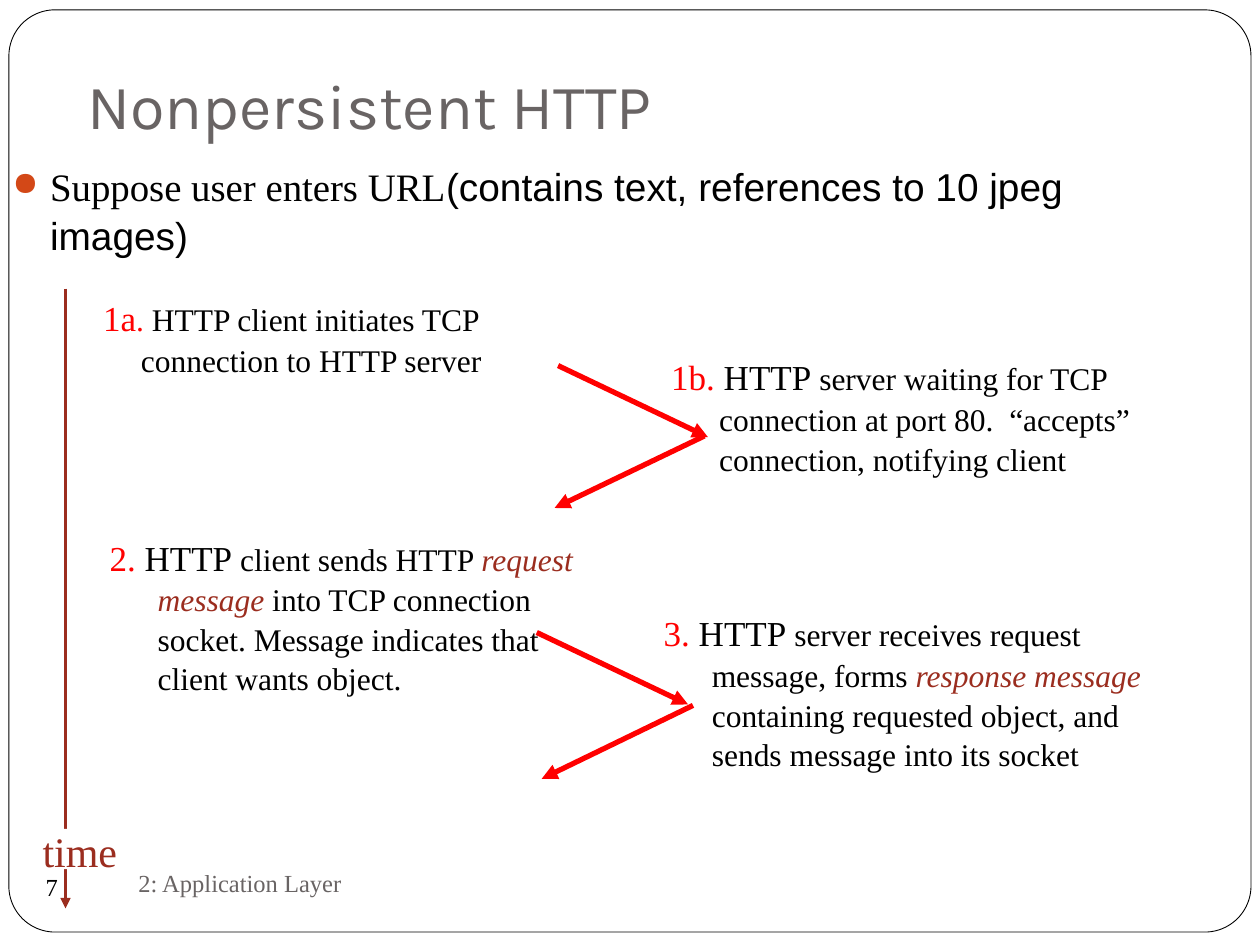
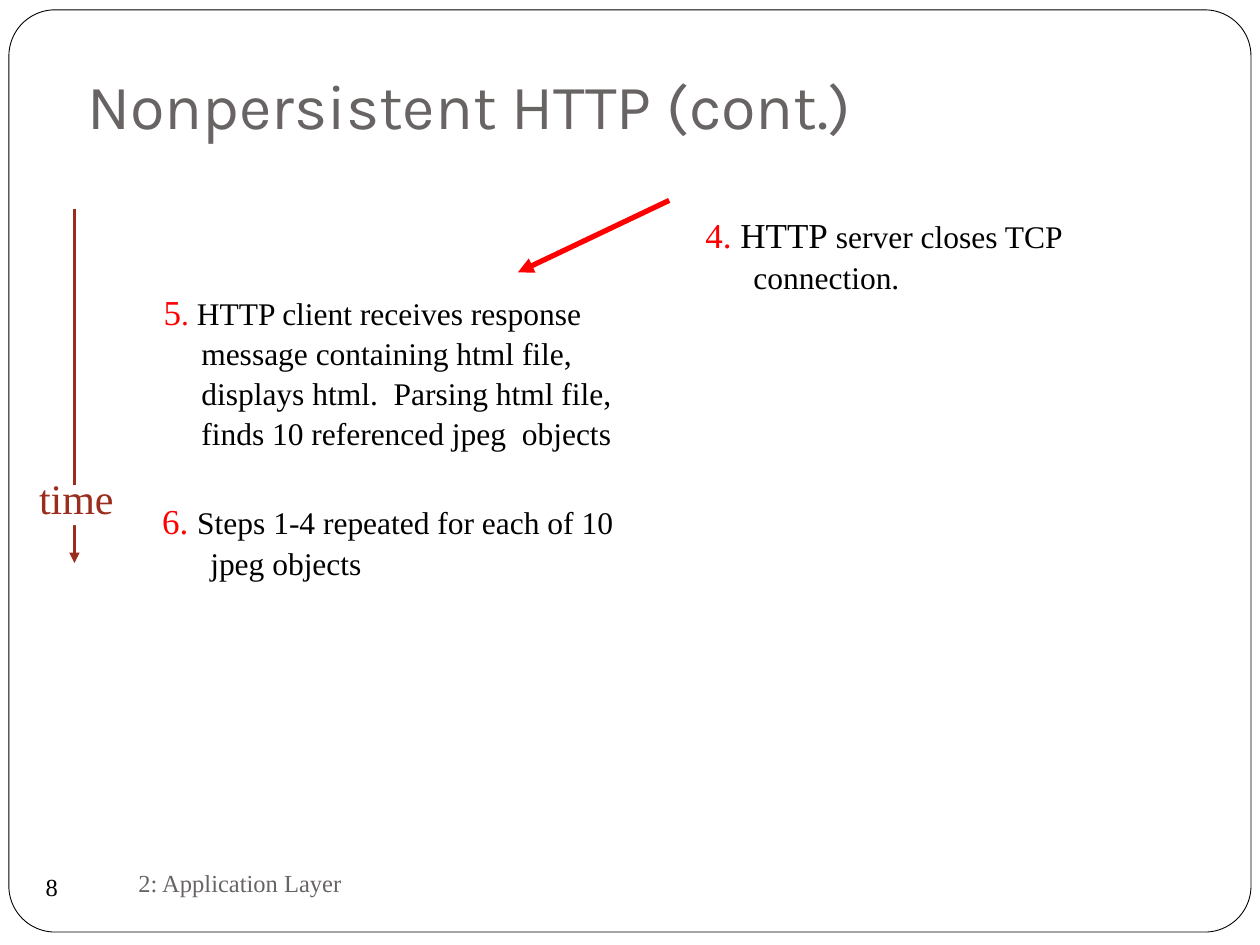
from dataclasses import dataclass

from lxml.etree import SubElement
from pptx import Presentation
from pptx.dml.color import RGBColor
from pptx.enum.shapes import MSO_CONNECTOR as Connector, MSO_SHAPE as Shape
from pptx.enum.text import MSO_ANCHOR as Anchor, PP_ALIGN as Align
from pptx.oxml.ns import qn
from pptx.util import Cm, Pt


@dataclass(frozen=True)
class Theme:
    black: str = "000000"
    white: str = "FFFFFF"
    grey: str = "696464"
    red: str = "FF0000"
    brown: str = "9B2D1F"
    bullet: str = "D34817"
    serif: str = "Times New Roman"
    sans: str = "Arial"
    heading: str = "Karla"
    title_size: float = 36
    time_size: float = 24
    lead_size: float = 22.2
    number_size: float = 20
    step_size: float = 18
    footer_size: float = 14
    line_spacing: float = 1.05


theme = Theme()

# Text styles: font, size, colour, italic
styles = {
    "title": (theme.heading, theme.title_size, theme.grey, False),
    "footer": (theme.serif, theme.footer_size, theme.grey, False),
    "page": (theme.serif, theme.footer_size, theme.black, False),
    "time": (theme.serif, theme.time_size, theme.brown, False),
    "lead": (theme.serif, theme.lead_size, theme.black, False),
    "lead sans": (theme.sans, theme.lead_size, theme.black, False),
    "number": (theme.serif, theme.number_size, theme.red, False),
    "dot": (theme.serif, theme.step_size, theme.red, False),
    "protocol": (theme.serif, theme.number_size, theme.black, False),
    "step": (theme.serif, theme.step_size, theme.black, False),
    "term": (theme.serif, theme.step_size, theme.brown, True),
}

# Slide content: boxes are left, top, width, height in cm
NARROW, WIDE = 0.76, 0.97
slides = [
    {
        "title": "Nonpersistent HTTP",
        "page": "7",
        "axis": (1.32, 5.82, 18.31),
        "gap": (0.66, 16.71, 1.83, 0.81),
        "time": (0.48, 16.51, 2.26, 1.27),
        "lead": [("Suppose user enters URL", "lead"),
                 ("(contains text, references to 10 jpeg images)", "lead sans")],
        "steps": [
            ((1.83, 5.82, 10.95, 5.28), NARROW, [
                ("1a", "number"), (".", "dot"),
                (" HTTP client initiates TCP connection to HTTP server", "step")]),
            ((13.28, 7.01, 10.59, 4.19), WIDE, [
                ("1b.", "number"), (" HTTP", "protocol"),
                (" server waiting for TCP connection at port 80.  “accepts” "
                 "connection, notifying client", "step")]),
            ((1.96, 10.64, 10.59, 3), WIDE, [
                ("2.", "number"), (" HTTP", "protocol"),
                (" client sends HTTP ", "step"), ("request message", "term"),
                (" into TCP connection socket. Message indicates that "
                 "client wants object.", "step")]),
            ((13.13, 12.17, 10.59, 5), WIDE, [
                ("3.", "number"), (" HTTP", "protocol"),
                (" server receives request message, forms ", "step"),
                ("response message", "term"),
                (" containing requested object, and sends message into "
                 "its socket", "step")]),
        ],
        "messages": [(11.25, 7.37, 14.27, 8.81), (14.2, 8.79, 11.18, 10.24),
                     (10.82, 12.75, 13.87, 14.2), (13.97, 14.22, 10.92, 15.7)],
    },
    {
        "title": "Nonpersistent HTTP (cont.)",
        "page": "8",
        "axis": (1.5, 4.22, 11.35),
        "gap": (0.84, 9.78, 0.97, 0.81),
        "time": (0.41, 9.4, 2.26, 1.27),
        "lead": [],
        "steps": [
            ((13.97, 4.14, 10.59, 2.03), WIDE, [
                ("4.", "number"), (" HTTP", "protocol"),
                (" server closes TCP connection.", "step")]),
            ((3.05, 5.69, 10.59, 4.27), NARROW, [
                ("5", "number"), (".", "dot"),
                (" HTTP client receives response message containing html file, "
                 "displays html.  Parsing html file, finds 10 referenced jpeg  "
                 "objects", "step")]),
            ((3.02, 9.91, 10.59, 1.85), WIDE, [
                ("6. ", "number"),
                ("Steps 1-4 repeated for each of 10 jpeg objects", "step")]),
        ],
        "messages": [(13.49, 4.04, 10.44, 5.49)],
    },
]


def write(shape, runs, anchor=Anchor.TOP, align=Align.LEFT, wrap=True, indent=0, bullet=""):
    """Fill a shape with one paragraph of (text, style) runs."""
    frame = shape.text_frame
    frame.word_wrap = wrap
    frame.vertical_anchor = anchor
    paragraph = frame.paragraphs[0]
    paragraph.alignment = align
    if indent:
        paragraph.line_spacing = theme.line_spacing
        properties = paragraph._p.get_or_add_pPr()
        properties.set("marL", str(Cm(indent)))
        properties.set("indent", str(-Cm(indent)))
        if bullet:
            colour = SubElement(properties, qn("a:buClr"))
            SubElement(colour, qn("a:srgbClr"), val=theme.bullet)
            SubElement(properties, qn("a:buSzPct"), val="85000")
            SubElement(properties, qn("a:buChar"), char=bullet)
    for text, style in runs:
        run = paragraph.add_run()
        run.text = text
        font = paragraph.font if len(runs) == 1 else run.font
        font.name, size, colour, font.italic = styles[style]
        font.size = Pt(size)
        font.color.rgb = RGBColor.from_string(colour)


def add_arrow(slide, ends, colour, width):
    """Draw a straight arrow between two points given in cm."""
    arrow = slide.shapes.add_connector(Connector.STRAIGHT, *map(Cm, ends))
    arrow.line.color.rgb = RGBColor.from_string(colour)
    arrow.line.width = Pt(width)
    SubElement(arrow.line._get_or_add_ln(), qn("a:tailEnd"), type="triangle")
    SubElement(arrow._element.spPr, qn("a:effectLst"))


presentation = Presentation()
presentation.slide_width, presentation.slide_height = Cm(25.4), Cm(19.05)
title_only = presentation.slide_layouts[5]

for content in slides:
    slide = presentation.slides.add_slide(title_only)
    shapes = slide.shapes

    # Rounded border
    border = shapes.add_shape(Shape.ROUNDED_RECTANGLE, *map(Cm, (0.18, 0.2, 25.04, 18.59)))
    border.adjustments[0] = 0.05
    border.shadow.inherit = False
    border.fill.background()
    border.line.color.rgb = RGBColor.from_string(theme.black)
    border.line.width = Pt(0.5)

    # Title
    title = shapes.title
    title.left, title.top, title.width, title.height = map(Cm, (1.5, 0.71, 21.59, 2.41))
    title.text_frame.margin_bottom = Cm(0.25)
    write(title, [(content["title"], "title")], Anchor.BOTTOM)

    # Footer and page number
    footer = shapes.add_textbox(*map(Cm, (2.54, 17.15, 11, 1.27)))
    write(footer, [("2: Application Layer", "footer")], Anchor.MIDDLE)
    page = shapes.add_shape(Shape.OVAL, *map(Cm, (0.41, 17.25, 1.27, 1.27)))
    page.shadow.inherit = False
    page.fill.background()
    page.line.fill.background()
    frame = page.text_frame
    frame.margin_left = frame.margin_right = frame.margin_top = frame.margin_bottom = 0
    write(page, [(content["page"], "page")], Anchor.MIDDLE, Align.CENTER, wrap=False)

    # Time axis, interrupted by its label
    x, top, bottom = content["axis"]
    add_arrow(slide, (x, top, x, bottom), theme.brown, 1.5)
    gap = shapes.add_shape(Shape.RECTANGLE, *map(Cm, content["gap"]))
    gap.shadow.inherit = False
    gap.fill.solid()
    gap.fill.fore_color.rgb = RGBColor.from_string(theme.white)
    gap.line.fill.background()
    label = shapes.add_textbox(*map(Cm, content["time"]))
    write(label, [("time", "time")], align=Align.CENTER, wrap=False)

    # Lead sentence
    if content["lead"]:
        lead = shapes.add_textbox(*map(Cm, (0, 3.1, 23.9, 1.3)))
        write(lead, content["lead"], indent=NARROW, bullet="●")

    # Numbered steps of client and server
    for box, indent, runs in content["steps"]:
        write(shapes.add_textbox(*map(Cm, box)), runs, indent=indent)

    # Messages between client and server
    for ends in content["messages"]:
        add_arrow(slide, ends, theme.red, 3)

presentation.save("out.pptx")
